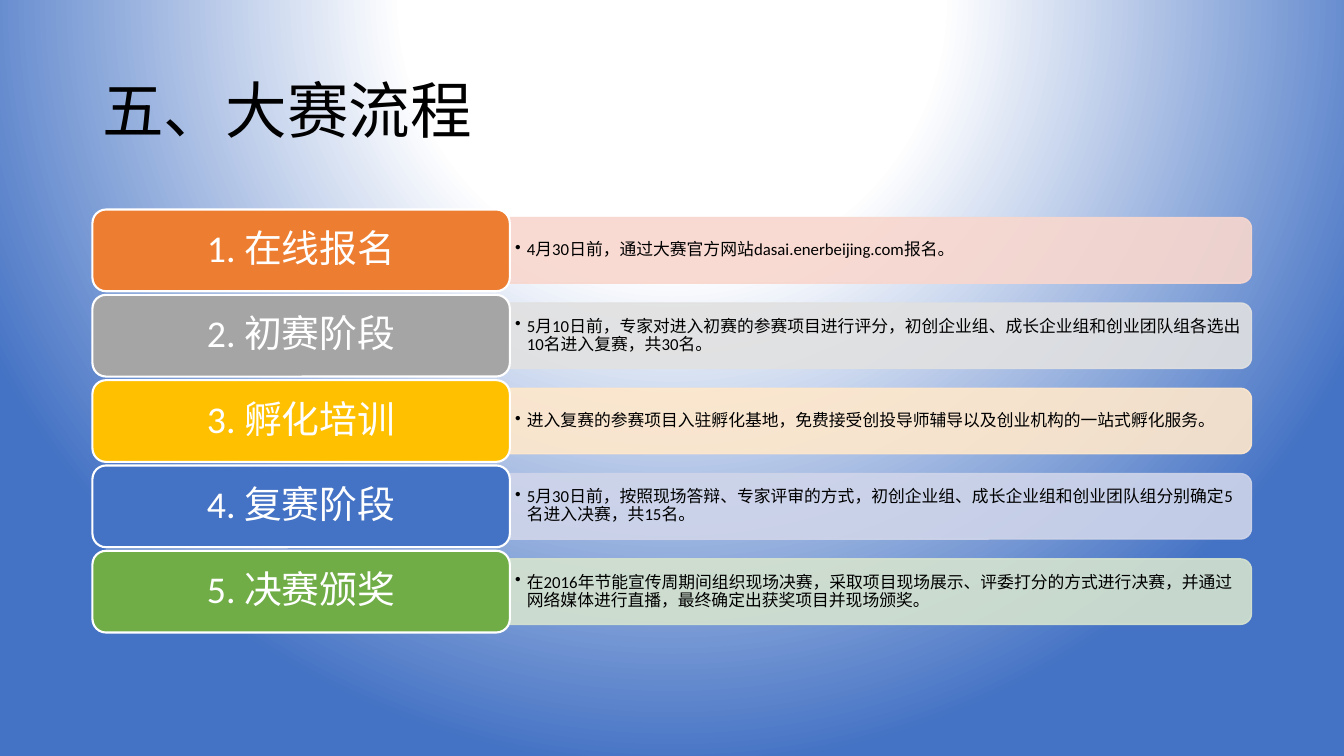
from lxml import etree
from pptx import Presentation
from pptx.dml.color import RGBColor
from pptx.enum.shapes import MSO_SHAPE as Shape
from pptx.enum.text import MSO_ANCHOR as Anchor, PP_ALIGN as Align
from pptx.oxml import parse_xml
from pptx.oxml.ns import nsdecls, qn
from pptx.util import Cm, Pt

COLORS = {
    "text": "000000", "white": "FFFFFF", "blue": "4472C4",
    "orange": "ED7D31", "gray": "A5A5A5", "gold": "FFC000", "green": "70AD47",
    "pale orange": "F8D7CE", "pale gray": "E1E1E1", "pale gold": "FFE8CC",
    "pale blue": "CFD5EA", "pale green": "D5E3CF",
}

STAGES = [
    ("在线报名", "orange", "4月30日前，通过大赛官方网站dasai.enerbeijing.com报名。"),
    ("初赛阶段", "gray", "5月10日前，专家对进入初赛的参赛项目进行评分，初创企业组、"
                     "成长企业组和创业团队组各选出10名进入复赛，共30名。"),
    ("孵化培训", "gold", "进入复赛的参赛项目入驻孵化基地，免费接受创投导师辅导"
                     "以及创业机构的一站式孵化服务。"),
    ("复赛阶段", "blue", "5月30日前，按照现场答辩、专家评审的方式，初创企业组、"
                     "成长企业组和创业团队组分别确定5名进入决赛，共15名。"),
    ("决赛颁奖", "green", "在2016年节能宣传周期间组织现场决赛，采取项目现场展示、"
                      "评委打分的方式进行决赛，并通过网络媒体进行直播，"
                      "最终确定出获奖项目并现场颁奖。"),
]

LABEL_LEFT, LABEL_WIDTH, LABEL_HEIGHT = 2.33, 10.52, 2.06
FIRST_TOP, PITCH = 5.28, 2.15
BAR_LEFT, BAR_LENGTH, BAR_THICKNESS = LABEL_LEFT + LABEL_WIDTH, 18.69, 1.65
DETAIL_WIDTH, DETAIL_HEIGHT = 18.62, 1.47


class ProcessSlide:
    def __init__(self, slide, font="Calibri"):
        self.slide = slide
        self.font = font

    def color(self, name):
        return RGBColor.from_string(COLORS[name])

    def background(self):
        """Radial glow centred above the slide, white fading to blue."""
        fill = self.slide.background.fill
        fill.gradient()
        gradient = self.slide._element.find(".//" + qn("a:gradFill"))
        stops = "".join(
            f'<a:gs pos="{pos}"><a:srgbClr val="{COLORS[name]}"/></a:gs>'
            for pos, name in ((0, "white"), (35000, "white"), (100000, "blue")))
        gradient.getparent().replace(gradient, parse_xml(
            f'<a:gradFill {nsdecls("a")} rotWithShape="1"><a:gsLst>{stops}</a:gsLst>'
            '<a:path path="circle"><a:fillToRect l="50000" t="-80000" '
            'r="50000" b="180000"/></a:path></a:gradFill>'))

    def fill_text(self, frame, text, size, color, align=Align.LEFT,
                  inset=(0.25, 0.13), bullet=False):
        frame.word_wrap = True
        frame.vertical_anchor = Anchor.MIDDLE
        frame.margin_left = frame.margin_right = Cm(inset[0])
        frame.margin_top = frame.margin_bottom = Cm(inset[1])
        paragraph = frame.paragraphs[0]
        if bullet:
            properties = paragraph._p.get_or_add_pPr()
            properties.set("marL", str(Cm(0.3)))
            properties.set("indent", str(-Cm(0.3)))
            etree.SubElement(properties, qn("a:buChar"), char="•")
            paragraph.level = 1
        paragraph.alignment = align
        paragraph.line_spacing = 0.9
        run = paragraph.add_run()
        run.text = text
        run.font.name = self.font
        run.font.size = Pt(size)
        run.font.color.rgb = self.color(color)

    def text(self, left, top, width, height, text, size, **style):
        box = self.slide.shapes.add_textbox(Cm(left), Cm(top), Cm(width), Cm(height))
        self.fill_text(box.text_frame, text, size, "text", **style)

    def panel(self, kind, left, top, width, height, fill, line, line_width):
        panel = self.slide.shapes.add_shape(
            kind, Cm(left), Cm(top), Cm(width), Cm(height))
        panel.shadow.inherit = False
        panel.fill.solid()
        panel.fill.fore_color.rgb = self.color(fill)
        panel.line.color.rgb = self.color(line)
        panel.line.width = Pt(line_width)
        return panel

    def bar(self, middle, color):
        """Translucent bar, rotated so that its rounded corners face right."""
        bar = self.panel(
            Shape.ROUND_2_SAME_RECTANGLE,
            BAR_LEFT + (BAR_LENGTH - BAR_THICKNESS) / 2, middle - BAR_LENGTH / 2,
            BAR_THICKNESS, BAR_LENGTH, color, color, 1)
        bar.rotation = 90
        for tint in bar._element.spPr.iter(qn("a:srgbClr")):
            etree.SubElement(tint, qn("a:alpha"), val="90000")

    def label(self, top, text, color):
        label = self.panel(Shape.ROUNDED_RECTANGLE, LABEL_LEFT, top, LABEL_WIDTH,
                           LABEL_HEIGHT, color, "white", 1.5)
        self.fill_text(label.text_frame, text, 27, "white", Align.CENTER, (0.38, 0.25))

    def stage(self, number, name, color, detail):
        top = FIRST_TOP + (number - 1) * PITCH
        middle = top + LABEL_HEIGHT / 2
        self.bar(middle, f"pale {color}")
        self.text(BAR_LEFT, middle - DETAIL_HEIGHT / 2, DETAIL_WIDTH, DETAIL_HEIGHT,
                  detail, 12, inset=(0.13, 0.08), bullet=True)
        self.label(top, f"{number}. {name}", color)


def main():
    deck = Presentation()
    deck.slide_width, deck.slide_height = Cm(33.87), Cm(19.05)
    process = ProcessSlide(deck.slides.add_slide(deck.slide_layouts[6]))
    process.background()
    process.text(2.33, 1.01, 29.21, 3.68, "五、大赛流程", 44)
    for number, stage in enumerate(STAGES, 1):
        process.stage(number, *stage)
    deck.save("out.pptx")


if __name__ == "__main__":
    main()
